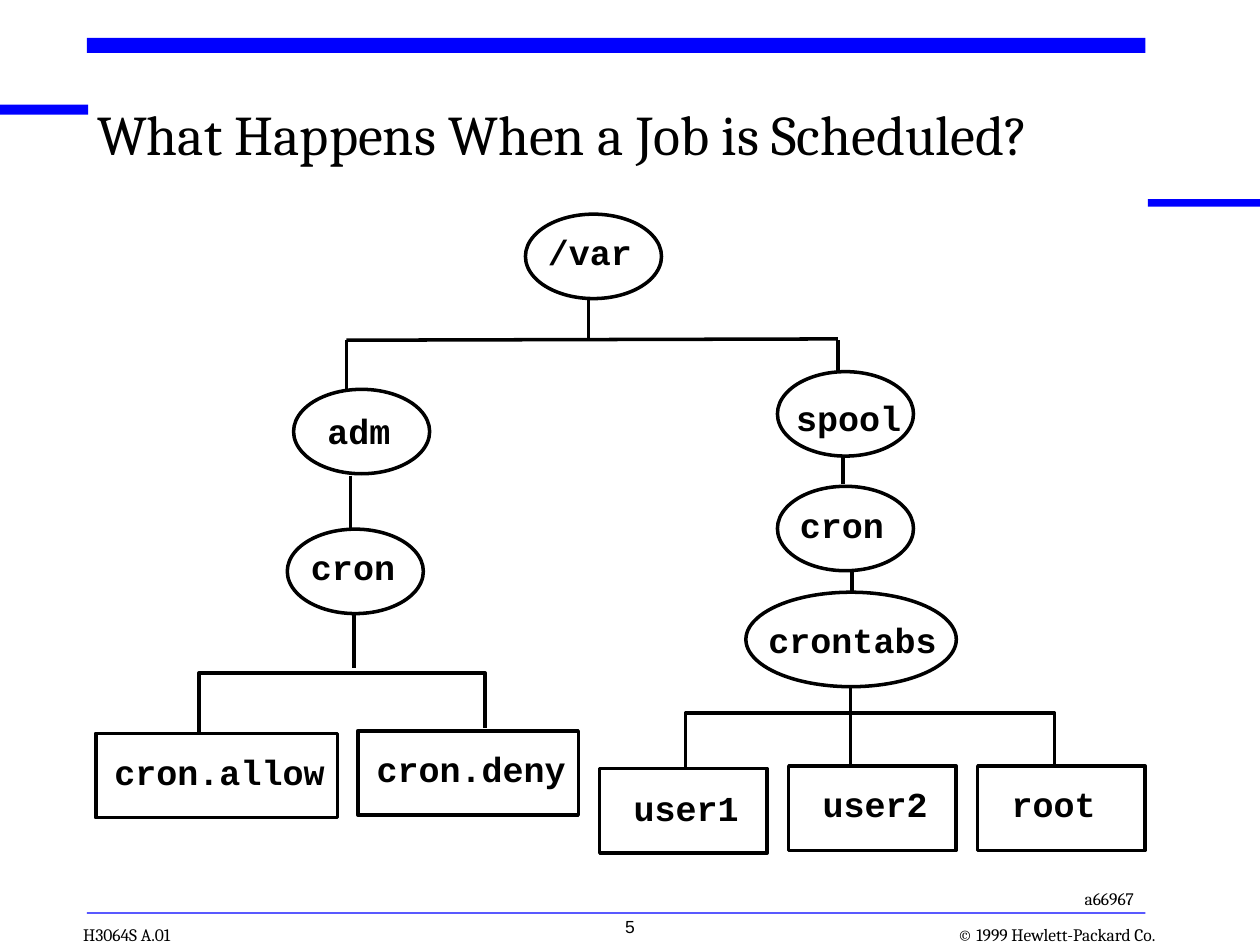
from pptx import Presentation
from pptx.dml.color import RGBColor
from pptx.enum.shapes import MSO_CONNECTOR, MSO_SHAPE
from pptx.enum.text import MSO_ANCHOR, MSO_AUTO_SIZE, PP_ALIGN
from pptx.oxml.ns import qn
from pptx.util import Inches, Pt

BLACK, WHITE, BLUE = "000000", "FFFFFF", "0000FF"
TITLE = "What Happens When a Job is Scheduled?"

# left, top, width, height
BARS = [(0, 0.83, 0.7, 0.08), (0.69, 0.3, 8.4, 0.12),
        (9.11, 1.58, 0.9, 0.06), (0.69, 7.24, 8.4, 0.01)]

# x1, y1, x2, y2
BRANCHES = [
    (4.67, 2.36, 4.67, 2.7), (2.75, 2.7, 6.65, 2.69),
    (2.75, 2.7, 2.75, 3.11), (6.65, 2.7, 6.65, 3.03),
    (2.78, 3.78, 2.78, 4.2), (2.81, 4.8, 2.81, 5.3),
    (6.69, 3.55, 6.69, 3.84), (6.76, 4.42, 6.76, 4.71),
    (6.75, 5.43, 6.75, 5.62), (6.75, 5.59, 6.75, 6.09),
]

# left, right, top, left foot, right foot
BRACKETS = [(1.58, 3.85, 5.34, 5.81, 5.78), (5.44, 8.37, 5.66, 6.1, 6.07)]

# name, (left, top, width, height), label (left, top)
DIRECTORIES = [
    ("/var", (4.17, 1.7, 1.08, 0.67), (4.25, 1.78)),
    ("adm", (2.33, 3.09, 1.08, 0.67), (2.5, 3.2)),
    ("cron", (2.28, 4.2, 1.08, 0.67), (2.37, 4.28)),
    ("spool", (6.17, 2.95, 1.08, 0.67), (6.22, 3.1)),
    ("cron", (6.17, 3.86, 1.08, 0.67), (6.25, 3.95)),
    ("crontabs", (5.92, 4.7, 1.67, 0.75), (6, 4.86)),
]
FILES = [
    ("cron.allow", (0.76, 5.82, 1.92, 0.67), (0.81, 5.91)),
    ("cron.deny", (2.84, 5.8, 1.75, 0.67), (2.89, 5.88)),
    ("user1", (4.76, 6.1, 1.33, 0.67), (4.93, 6.19)),
    ("user2", (6.26, 6.08, 1.33, 0.67), (6.43, 6.16)),
    ("root", (7.76, 6.08, 1.33, 0.67), (7.93, 6.16)),
]


def color(value):
    return RGBColor.from_string(value)


def inches(values):
    return [Inches(v) for v in values]


def outline(sp):
    sp.line.color.rgb = color(BLACK)
    sp.line.width = Pt(2)


def add_run(p, words, size, font, bold=False):
    r = p.add_run()
    r.text = words
    r.font.size, r.font.name, r.font.bold = Pt(size), font, bold
    r.font.color.rgb = color(BLACK)


def set_margins(tf, x, y):
    tf.margin_left = tf.margin_right = Inches(x)
    tf.margin_top = tf.margin_bottom = Inches(y)


def add_text(s, box, words, size, font, bold=False, align=PP_ALIGN.LEFT,
             anchor=MSO_ANCHOR.TOP, margins=(0.1, 0.05), wrap=False):
    tf = s.shapes.add_textbox(*inches(box)).text_frame
    tf.word_wrap = wrap
    tf.auto_size = MSO_AUTO_SIZE.NONE if wrap else MSO_AUTO_SIZE.SHAPE_TO_FIT_TEXT
    tf.vertical_anchor = anchor
    set_margins(tf, *margins)
    p = tf.paragraphs[0]
    p.alignment = align
    add_run(p, words, size, font, bold)


def add_filled(s, preset, box, fill):
    sp = s.shapes.add_shape(preset, *inches(box))
    sp.shadow.inherit = False
    sp.fill.solid()
    sp.fill.fore_color.rgb = color(fill)
    return sp


def add_branch(s, ends):
    line = s.shapes.add_connector(MSO_CONNECTOR.STRAIGHT, *inches(ends))
    outline(line)
    sp_pr = line._element.spPr
    sp_pr.append(sp_pr.makeelement(qn("a:effectLst"), {}))


def add_bracket(s, left, right, top, left_foot, right_foot):
    points = [(left, left_foot), (left, top), (right, top), (right, right_foot)]
    start, *rest = [inches(point) for point in points]
    builder = s.shapes.build_freeform(*start)
    builder.add_line_segments(rest, close=False)
    sp = builder.convert_to_shape()
    sp.shadow.inherit = False
    sp.fill.background()
    outline(sp)


def add_node(s, preset, name, box, label):
    outline(add_filled(s, preset, box, WHITE))
    # a 20 pt Courier New letter is 1/6 inch wide; leave a little slack
    width = 0.22 + len(name) / 6
    add_text(s, (*label, width, 0.44), name, 20, "Courier New", bold=True)


def main():
    prs = Presentation()
    prs.slide_width, prs.slide_height = Inches(10), Inches(7.5)
    s = prs.slides.add_slide(prs.slide_layouts[5])

    title = s.shapes.title
    title.left, title.top, title.width, title.height = inches((0.77, 0.87, 8.07, 0.67))
    tf = title.text_frame
    tf.vertical_anchor = MSO_ANCHOR.TOP
    set_margins(tf, 0, 0)
    p = tf.paragraphs[0]
    p.alignment, p.line_spacing = PP_ALIGN.LEFT, 0.85
    add_run(p, TITLE, 32, "Cambria")

    for box in BARS:
        bar = add_filled(s, MSO_SHAPE.ROUNDED_RECTANGLE, box, BLUE)
        bar.adjustments[0] = 0
        bar.line.fill.background()
    for ends in BRANCHES:
        add_branch(s, ends)
    for bracket in BRACKETS:
        add_bracket(s, *bracket)
    for preset, nodes in ((MSO_SHAPE.OVAL, DIRECTORIES), (MSO_SHAPE.RECTANGLE, FILES)):
        for node in nodes:
            add_node(s, preset, *node)

    footer = {"anchor": MSO_ANCHOR.BOTTOM, "margins": (0, 0)}
    add_text(s, (0.66, 7.33, 0.82, 0.17), "H3064S A.01", 10, "Cambria", **footer)
    add_text(s, (7.35, 7.33, 1.82, 0.17), "© 1999 Hewlett-Packard Co.", 10, "Cambria",
             align=PP_ALIGN.RIGHT, **footer)
    add_text(s, (8.51, 7, 0.67, 0.27), "a66967", 10, "Cambria")
    add_text(s, (3.96, 7.22, 2.08, 0.33), "5", 10, "Arial",
             align=PP_ALIGN.CENTER, wrap=True)

    prs.save("out.pptx")


if __name__ == "__main__":
    main()
